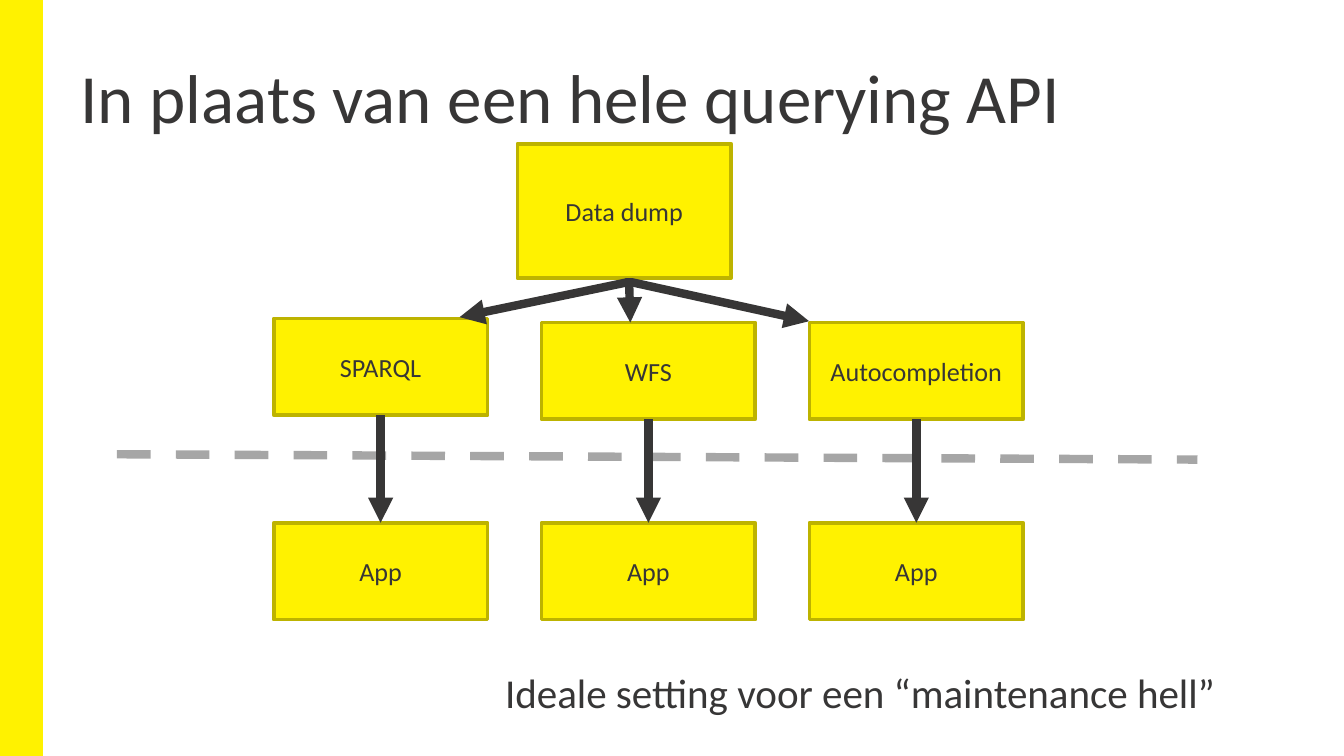
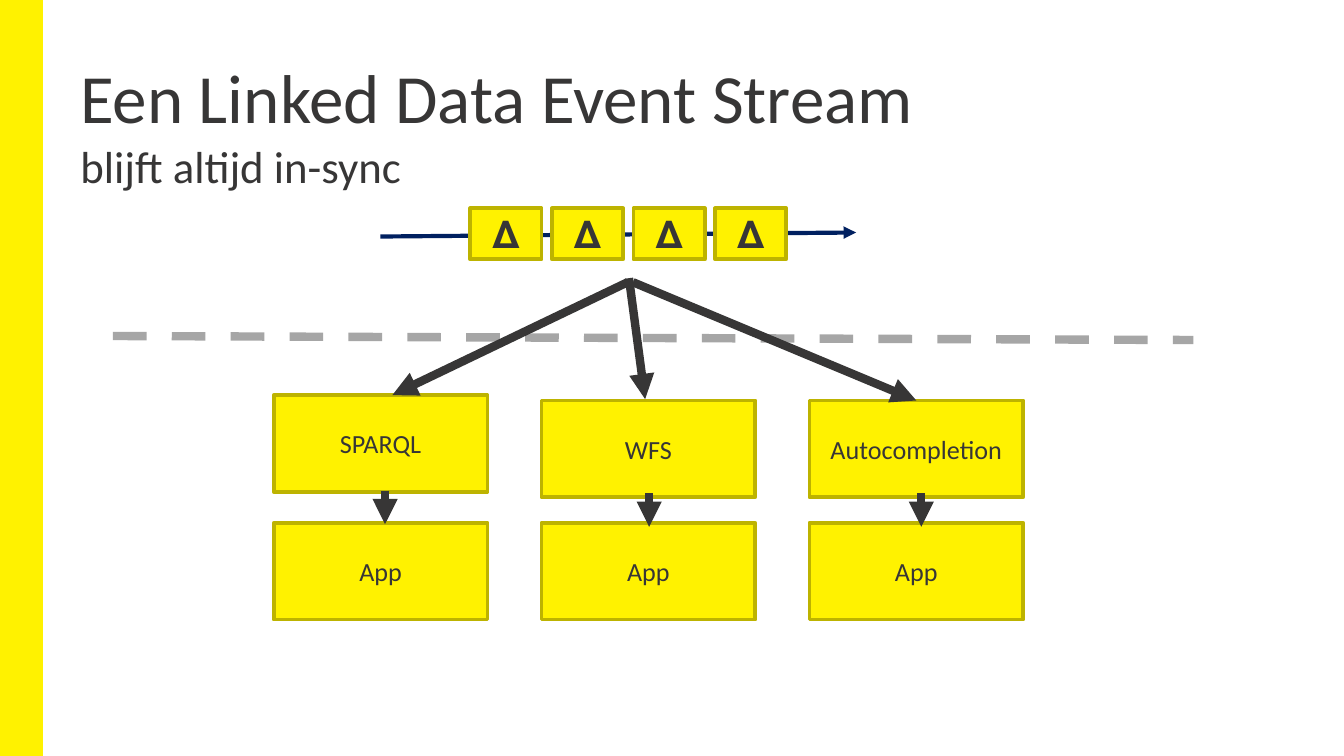
from lxml import etree
from pptx import Presentation
from pptx import util as u
from pptx.dml.color import RGBColor
from pptx.enum import dml, shapes, text
from pptx.oxml import ns

HUE = {"sun": "FFF200", "edge": "BDB300", "ink": "373636", "dash": "A6A6A6", "navy": "002060"}
FONT = "Calibri"

deck = Presentation()
deck.slide_width = u.Inches(10)
deck.slide_height = deck.slide_width * 9 // 16
CELL = deck.slide_width / 100
TALL = deck.slide_height / CELL


def put(page, words, at, size=14, fill=None, edge="edge", thick=2, pad=1, lead=None, left=0):
    spot = [round(n * CELL) for n in at]
    if fill:
        item = page.shapes.add_shape(shapes.MSO_SHAPE.RECTANGLE, *spot)
        item.shadow.inherit = False
        item.fill.solid()
        item.fill.fore_color.rgb = RGBColor.from_string(HUE[fill])
        item.line.color.rgb = RGBColor.from_string(HUE[edge])
        item.line.width = u.Pt(thick)
    else:
        item = page.shapes.add_textbox(*spot)
    if not words:
        return item
    frame = item.text_frame
    frame.word_wrap = True
    frame.margin_left = frame.margin_right = round(pad * CELL)
    frame.margin_top = frame.margin_bottom = round(pad * CELL)
    frame.vertical_anchor = text.MSO_ANCHOR.MIDDLE if fill else text.MSO_ANCHOR.TOP
    para = frame.paragraphs[0]
    para.alignment = text.PP_ALIGN.CENTER if fill else text.PP_ALIGN.LEFT
    if lead:
        para.line_spacing = lead
    if left:
        para._p.get_or_add_pPr().set("marL", str(round(left * CELL)))
    for i, (part, pt) in enumerate([(words, size)] if isinstance(words, str) else words):
        if i:
            para.add_line_break()
        run = para.add_run()
        run.text = part
        run.font.size = u.Pt(pt)
        run.font.name = FONT
        run.font.color.rgb = RGBColor.from_string(HUE["ink"])
    return item


def link(page, ends, hue="ink", thick=4.5, dash=False, start=None, stop=None):
    wire = page.shapes.add_connector(shapes.MSO_CONNECTOR.STRAIGHT, *[round(n * CELL) for n in ends])
    if start:
        wire.begin_connect(start, 2)
    if stop:
        wire.end_connect(stop, 0)
    wire.line.color.rgb = RGBColor.from_string(HUE[hue])
    wire.line.width = u.Pt(thick)
    if dash:
        wire.line.dash_style = dml.MSO_LINE.DASH
    else:
        etree.SubElement(wire.line._get_or_add_ln(), ns.qn("a:tailEnd"), type="triangle")
    etree.SubElement(wire._element.spPr, ns.qn("a:effectLst"))


WIDE, HIGH = 15.9, 7.2
COLS = [20.37 + 19.93 * i for i in range(3)]
MID = [x + WIDE / 2 for x in COLS]
APP = 38.9
NAMES = ["SPARQL", "WFS", "Autocompletion"]
PLANS = [
    {"title": [("In plaats van een hele querying API", 37)], "span": 86.6,
     "rows": [23.7, 24, 24], "dash": (8.7, 33.8, 89.1, 34.2)},
    {"title": [("Een Linked Data Event Stream", 37), ("blijft altijd in-sync", 24)], "span": 81.1,
     "rows": [29.4, 29.8, 29.8], "dash": (8.4, 25, 88.8, 25.3)},
]

pages, tops, apps = [], [], []
for plan in PLANS:
    page = deck.slides.add_slide(deck.slide_layouts[6])
    put(page, "", (0, 0, 3.1, TALL), fill="sun", edge="sun", thick=1)
    put(page, plan["title"], (5, 2.85, plan["span"], 9.2), lead=1.03)
    link(page, plan["dash"], hue="dash", dash=True)
    tops.append([put(page, name, (x, y, WIDE, HIGH), fill="sun")
                 for name, x, y in zip(NAMES, COLS, plan["rows"])])
    apps.append([put(page, "App", (x, APP, WIDE, HIGH), fill="sun") for x in COLS])
    pages.append(page)

dump, sync = pages

put(dump, "Ideale setting voor een “maintenance hell”", (35.5, 49.1, 60.5, 4.1), size=22, lead=0.9, left=1.1)
put(dump, "Data dump", (38.5, 10.7, WIDE, 10), fill="sun")
link(dump, (46.8, 20.7, 46.9, 24))
link(dump, (47, 21, 60.2, 23.9))
link(dump, (46.7, 21, 34.2, 23.6))
for x, y, top, app in zip(MID, PLANS[0]["rows"], tops[0], apps[0]):
    link(dump, (x, y + HIGH, x, APP), start=top, stop=app)

link(sync, (28.3, 17.6, 63.7, 17.3), hue="navy", thick=2.25)
for i in range(4):
    put(sync, "𝚫", (35 + 6.07 * i, 15.5, 5.3, 3.8), size=20, fill="sun", pad=0)
link(sync, (46.8, 20.7, 48, 29.7))
link(sync, (47.1, 21, MID[2], 29.8), stop=tops[1][2])
link(sync, (46.7, 21, 29.2, 29.4))
for x, y in [(28.65, 36.5), (48.3, 36.7), (68.55, 36.7)]:
    link(sync, (x, y, x, y + 2.5))

deck.save("out.pptx")
